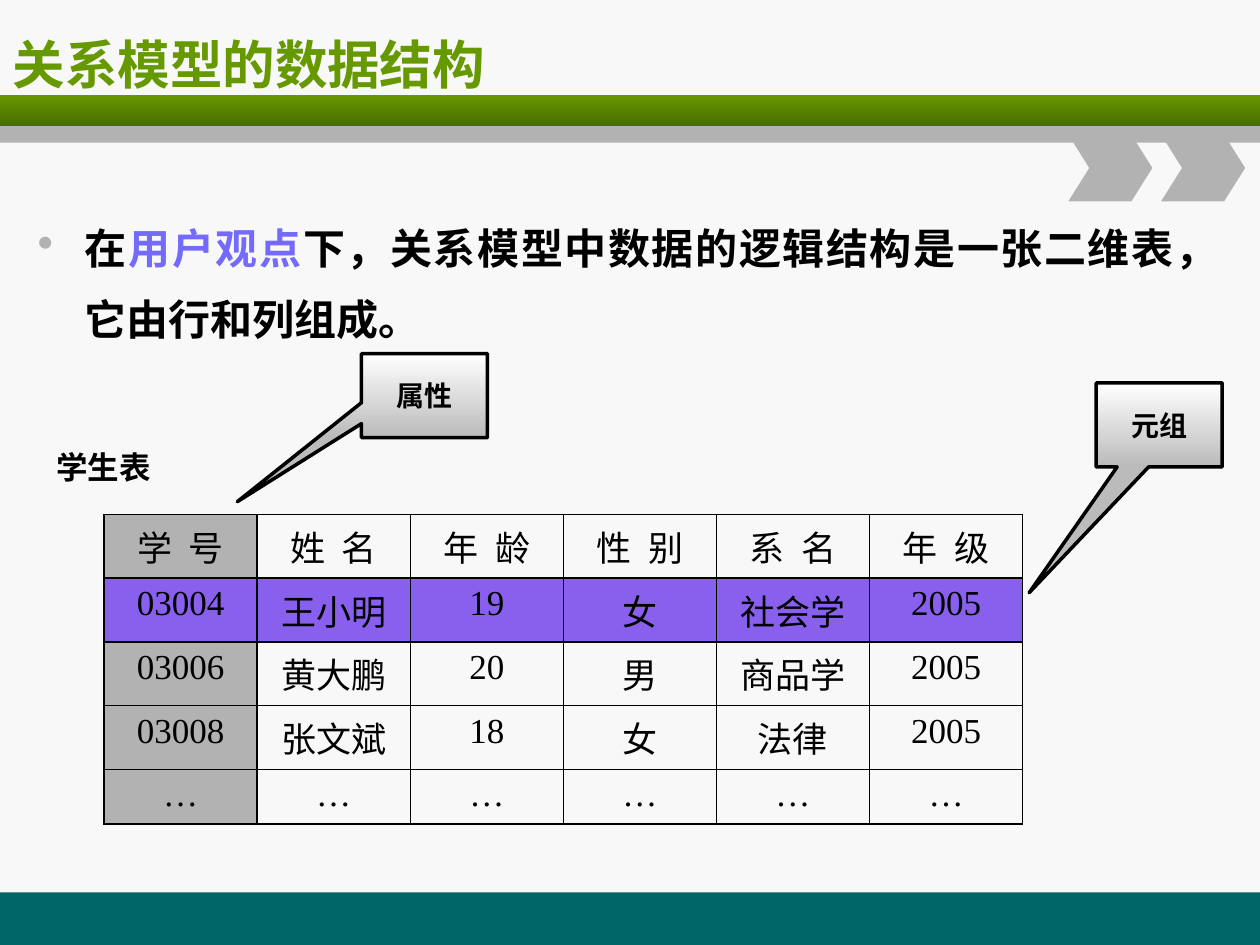
from pptx import Presentation
from pptx.dml.color import RGBColor
from pptx.enum import shapes, text
from pptx.oxml import parse_xml
from pptx.oxml.ns import nsdecls
from pptx.util import Pt

BLACK = RGBColor(0x00, 0x00, 0x00)
WHITE = RGBColor(0xFF, 0xFF, 0xFF)
PAPER = RGBColor(0xF8, 0xF8, 0xF8)
GREEN = RGBColor(0x66, 0x99, 0x00)
DARK_GREEN = RGBColor(0x49, 0x6D, 0x00)
TEAL = RGBColor(0x00, 0x66, 0x66)
GREY = RGBColor(0xB2, 0xB2, 0xB2)
CALLOUT_GREY = RGBColor(0xBB, 0xBB, 0xBB)
VIOLET = RGBColor(0x74, 0x6A, 0xFC)
ROW_VIOLET = RGBColor(0x89, 0x60, 0xEE)
SANS, SERIF = "Noto Sans CJK SC", "Times New Roman"
SHAPE = shapes.MSO_SHAPE

TITLE = "关系模型的数据结构"
STATEMENT = [
    ("在", BLACK),
    ("用户观点", VIOLET),
    ("下，关系模型中数据的逻辑结构是一张二维表，它由行和列组成。", BLACK),
]
TABLE_LABEL = "学生表"
STUDENTS = [
    ("学 号", "姓 名", "年 龄", "性 别", "系 名", "年 级"),
    ("03004", "王小明", "19", "女", "社会学", "2005"),
    ("03006", "黄大鹏", "20", "男", "商品学", "2005"),
    ("03008", "张文斌", "18", "女", "法律", "2005"),
    ("…",) * 6,
]
TUPLE_ROW = 1
ROW_HEIGHTS = [36.4] * 4 + [29.4]
COLUMN_WIDTH = 87.5
# text, left, top, pointer tip relative to the centre
CALLOUTS = [
    ("属性", 206.6, 202.1, (-1.486, 1.263)),
    ("元组", 626.4, 218.8, (-1.032, 1.999)),
]
# preset, left, top, width, height, fill colours
DECORATION = [
    (SHAPE.RECTANGLE, 0, 510, 720, 30, [TEAL]),
    (SHAPE.RECTANGLE, 0, 54, 720, 18, [GREEN, DARK_GREEN]),
    (SHAPE.RECTANGLE, 0, 72, 720, 9.5, [GREY]),
    (SHAPE.CHEVRON, 610.5, 77, 48, 38, [GREY]),
    (SHAPE.CHEVRON, 663.5, 77, 48, 38, [GREY]),
]


def format_run(span, size, color, font=SERIF, bold=False):
    span.font.size, span.font.bold, span.font.name = Pt(size), bold, font
    span.font.color.rgb = color
    span.font._element.find("{*}latin").addnext(
        parse_xml(f'<a:ea {nsdecls("a")} typeface="{SANS}"/>'))


def add_filled_shape(page, preset, left, top, width, height, colors):
    """Add a shape with a solid fill, or a downward gradient for two colours."""
    shape = page.shapes.add_shape(preset, Pt(left), Pt(top), Pt(width), Pt(height))
    shape.shadow.inherit = False
    shape.line.fill.background()
    if len(colors) == 1:
        shape.fill.solid()
        shape.fill.fore_color.rgb = colors[0]
    else:
        shape.fill.gradient()
        shape.fill.gradient_angle = 270
        for stop, color in zip(shape.fill.gradient_stops, colors):
            stop.color.rgb = color
    return shape


def add_title(page):
    title = page.shapes.title
    title.left, title.top, title.width, title.height = Pt(0), Pt(12.2), Pt(612), Pt(48)
    title.text_frame.text = TITLE
    title.text_frame.vertical_anchor = text.MSO_ANCHOR.MIDDLE
    para = title.text_frame.paragraphs[0]
    para.alignment = text.PP_ALIGN.LEFT
    format_run(para.runs[0], 30, GREEN, SANS, True)


def add_statement(page):
    box = page.shapes.add_textbox(Pt(14.4), Pt(112.3), Pt(664.6), Pt(79.2))
    box.text_frame.word_wrap = True
    para = box.text_frame.paragraphs[0]
    para.alignment = text.PP_ALIGN.JUSTIFY
    para.line_spacing, para.space_before = 1.4, Pt(4.8)
    props = para._p.get_or_add_pPr()
    props.set("marL", str(Pt(27)))
    props.set("indent", str(Pt(-27)))
    for bullet in (f'<a:buClr {nsdecls("a")}><a:srgbClr val="{GREY}"/></a:buClr>',
                   f'<a:buSzPct {nsdecls("a")} val="110000"/>',
                   f'<a:buChar {nsdecls("a")} char="•"/>'):
        props.append(parse_xml(bullet))
    for words, color in STATEMENT:
        span = para.add_run()
        span.text = words
        format_run(span, 24, color, SANS, True)


def add_table_label(page):
    box = page.shapes.add_textbox(Pt(24.5), Pt(252.7), Pt(69.1), Pt(28.8))
    box.text_frame.text = TABLE_LABEL
    box.text_frame.word_wrap = False
    para = box.text_frame.paragraphs[0]
    para.alignment = text.PP_ALIGN.CENTER
    format_run(para.runs[0], 18, BLACK, bold=True)


def add_cell_borders(cell):
    props = cell._tc.get_or_add_tcPr()
    for index, side in enumerate(("lnL", "lnR", "lnT", "lnB")):
        props.insert(index, parse_xml(
            f'<a:{side} {nsdecls("a")} w="{Pt(1)}"><a:solidFill>'
            f'<a:srgbClr val="{BLACK}"/></a:solidFill></a:{side}>'))


def add_student_table(page):
    columns = len(STUDENTS[0])
    table = page.shapes.add_table(
        len(STUDENTS), columns, Pt(59.5), Pt(294),
        Pt(COLUMN_WIDTH * columns), Pt(sum(ROW_HEIGHTS))).table
    table.first_row = table.horz_banding = False
    for column in table.columns:
        column.width = Pt(COLUMN_WIDTH)
    for r, values in enumerate(STUDENTS):
        table.rows[r].height = Pt(ROW_HEIGHTS[r])
        for c, value in enumerate(values):
            cell = table.cell(r, c)
            cell.text_frame.text = value
            para = cell.text_frame.paragraphs[0]
            para.alignment = text.PP_ALIGN.CENTER
            format_run(para.runs[0], 20, BLACK)
            if r == 0:  # spread the two characters of each heading
                para.runs[0].font._element.set("spc", "250")
            if r == TUPLE_ROW or c == 0:
                cell.fill.solid()
                cell.fill.fore_color.rgb = ROW_VIOLET if r == TUPLE_ROW else GREY
            else:
                cell.fill.background()
            add_cell_borders(cell)


def add_callout(page, words, left, top, tip):
    callout = add_filled_shape(page, SHAPE.RECTANGULAR_CALLOUT, left, top, 72, 48,
                               [WHITE, CALLOUT_GREY])
    callout.adjustments[0], callout.adjustments[1] = tip
    callout.line.color.rgb = BLACK
    callout.line.width = Pt(2)
    callout.text_frame.text = words
    callout.text_frame.vertical_anchor = text.MSO_ANCHOR.MIDDLE
    para = callout.text_frame.paragraphs[0]
    para.alignment = text.PP_ALIGN.CENTER
    format_run(para.runs[0], 16, BLACK, bold=True)


def main():
    deck = Presentation()
    deck.slide_width, deck.slide_height = Pt(720), Pt(540)
    page = deck.slides.add_slide(deck.slide_layouts[5])
    page.background.fill.solid()
    page.background.fill.fore_color.rgb = PAPER
    for item in DECORATION:
        shape = add_filled_shape(page, *item)
        if item[0] == SHAPE.CHEVRON:
            shape.adjustments[0] = 0.314
    add_title(page)
    add_statement(page)
    add_student_table(page)
    add_table_label(page)
    for callout in CALLOUTS:
        add_callout(page, *callout)
    deck.save("out.pptx")


if __name__ == "__main__":
    main()
